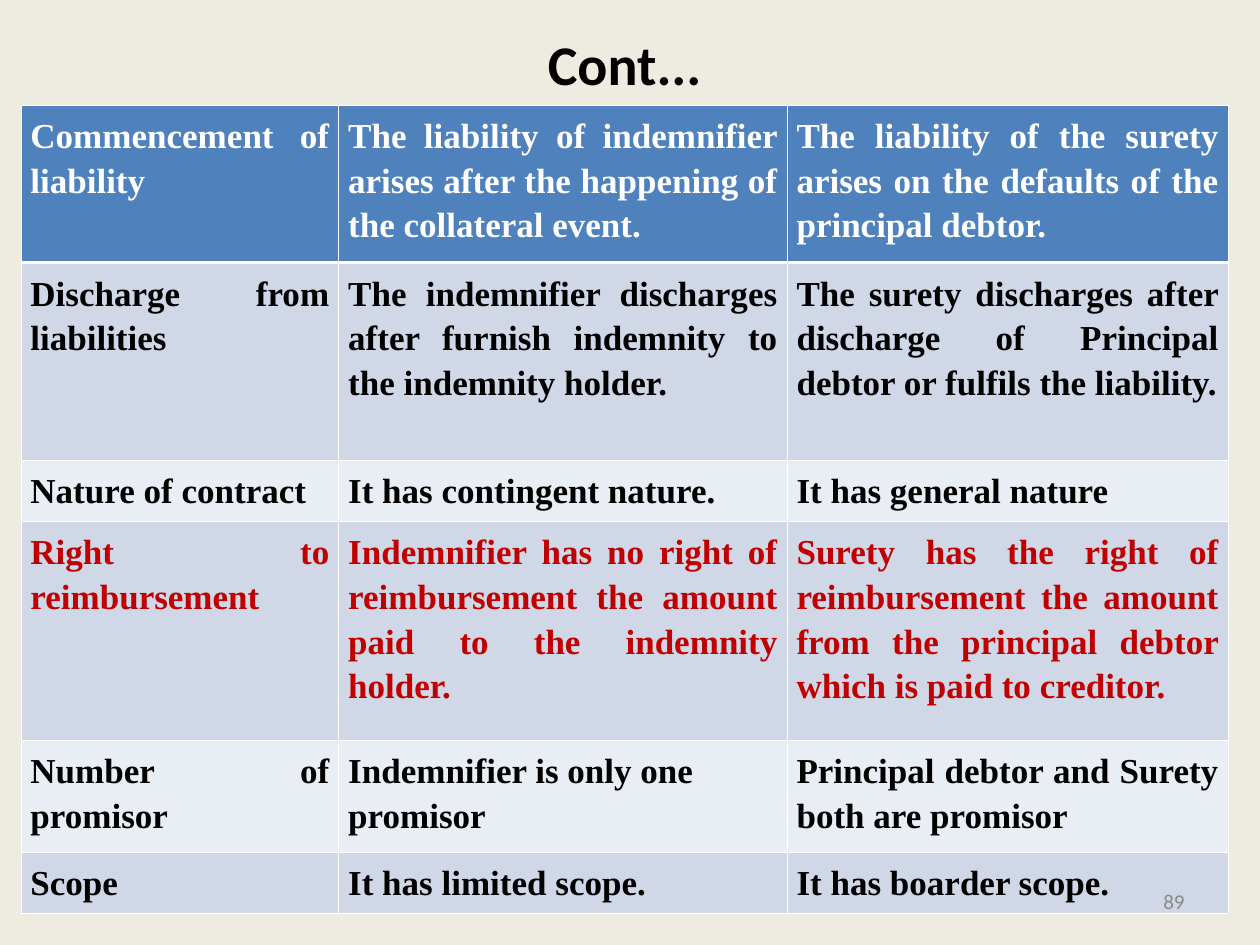
import pptx
import pptx.dml.color
import pptx.enum.text
import pptx.oxml
import pptx.oxml.ns
import pptx.util

Pt = pptx.util.Pt
ALIGN = pptx.enum.text.PP_ALIGN
MIDDLE = pptx.enum.text.MSO_ANCHOR.MIDDLE

BLACK, WHITE, RED, GREY = "000000", "FFFFFF", "C00000", "898989"
HEADER_FILL, BAND_FILLS = "4F81BD", ("D0D8E8", "E9EDF4")
THIN, THICK = 0.45, 1.47

COLUMN_WIDTHS = (181.6, 256.2, 252)
# Row height, text colour, then the aspect, indemnity and guarantee texts
COMPARISON = [
    (86, WHITE, "Commencement of liability",
     "The liability of indemnifier arises after the happening of the collateral event.",
     "The liability of the surety arises on the defaults of the principal debtor."),
    (113, BLACK, "Discharge from liabilities",
     "The indemnifier discharges after furnish indemnity to the indemnity holder.",
     "The surety discharges after discharge of Principal debtor or fulfils the liability."),
    (30.5, BLACK, "Nature of contract", "It has contingent nature.", "It has general nature"),
    (125, RED, "Right to reimbursement",
     "Indemnifier has no right of reimbursement the amount paid to the indemnity holder.",
     "Surety has the right of reimbursement the amount from the principal debtor "
     "which is paid to creditor."),
    (64, BLACK, "Number of promisor", "Indemnifier is only one promisor",
     "Principal debtor and Surety both are promisor"),
    (30.5, BLACK, "Scope", "It has limited scope.", "It has boarder scope."),
]
LEFT_ALIGNED = {(4, 1), (5, 1)}


def color(hex_value):
    return pptx.dml.color.RGBColor.from_string(hex_value)


def style_paragraph(paragraph, font_name, size, hex_value, align, bold=False):
    paragraph.alignment = align
    font = paragraph.font
    font.name, font.size, font.bold = font_name, Pt(size), bold
    font.color.rgb = color(hex_value)


def add_line_of_text(slide, box, text, size, hex_value, align, bold=False):
    label = slide.shapes.add_textbox(*map(Pt, box))
    frame = label.text_frame
    frame.word_wrap = True
    frame.vertical_anchor = MIDDLE
    frame.text = text
    style_paragraph(frame.paragraphs[0], "Calibri", size, hex_value, align, bold)


def set_borders(cell, top, bottom):
    properties = cell._tc.get_or_add_tcPr()
    for side, width in (("L", THIN), ("R", THIN), ("T", top), ("B", bottom)):
        properties.append(pptx.oxml.parse_xml(
            f'<a:ln{side} {pptx.oxml.ns.nsdecls("a")} w="{int(Pt(width))}">'
            f'<a:solidFill><a:srgbClr val="{WHITE}"/></a:solidFill></a:ln{side}>'))


def fill_cell(cell, text, row, column, text_color):
    cell.margin_left = cell.margin_right = Pt(5.4)
    cell.margin_top = cell.margin_bottom = Pt(3.6)
    cell.text = text
    paragraph = cell.text_frame.paragraphs[0]
    align = ALIGN.LEFT if (row, column) in LEFT_ALIGNED else ALIGN.JUSTIFY
    style_paragraph(paragraph, "Times New Roman", 20, text_color, align, bold=True)
    paragraph.line_spacing = 1.15
    # Borders precede the fill in the cell's XML
    set_borders(cell, THICK if row == 1 else THIN, THICK if row == 0 else THIN)
    cell.fill.solid()
    cell.fill.fore_color.rgb = color(BAND_FILLS[(row - 1) % 2] if row else HEADER_FILL)


def add_comparison_table(slide, left, top):
    height = sum(entry[0] for entry in COMPARISON)
    table = slide.shapes.add_table(
        len(COMPARISON), len(COLUMN_WIDTHS),
        Pt(left), Pt(top), Pt(sum(COLUMN_WIDTHS)), Pt(height)).table
    for column, width in zip(table.columns, COLUMN_WIDTHS):
        column.width = Pt(width)
    for row, (row_height, text_color, *texts) in enumerate(COMPARISON):
        table.rows[row].height = Pt(row_height)
        for column, text in enumerate(texts):
            fill_cell(table.cell(row, column), text, row, column, text_color)


def main():
    deck = pptx.Presentation()
    deck.slide_width, deck.slide_height = Pt(720), Pt(540)
    slide = deck.slides.add_slide(deck.slide_layouts[6])
    slide.background.fill.solid()
    slide.background.fill.fore_color.rgb = color("EEECE1")

    # Title
    add_line_of_text(slide, (12, 12, 690, 48), "Cont...", 32, BLACK, ALIGN.CENTER, bold=True)
    # Comparison of indemnity and guarantee
    add_comparison_table(slide, 12, 60)
    # Slide number
    add_line_of_text(slide, (516, 500.5, 168, 28.75), "89", 12, GREY, ALIGN.RIGHT)

    deck.save("out.pptx")


if __name__ == "__main__":
    main()
